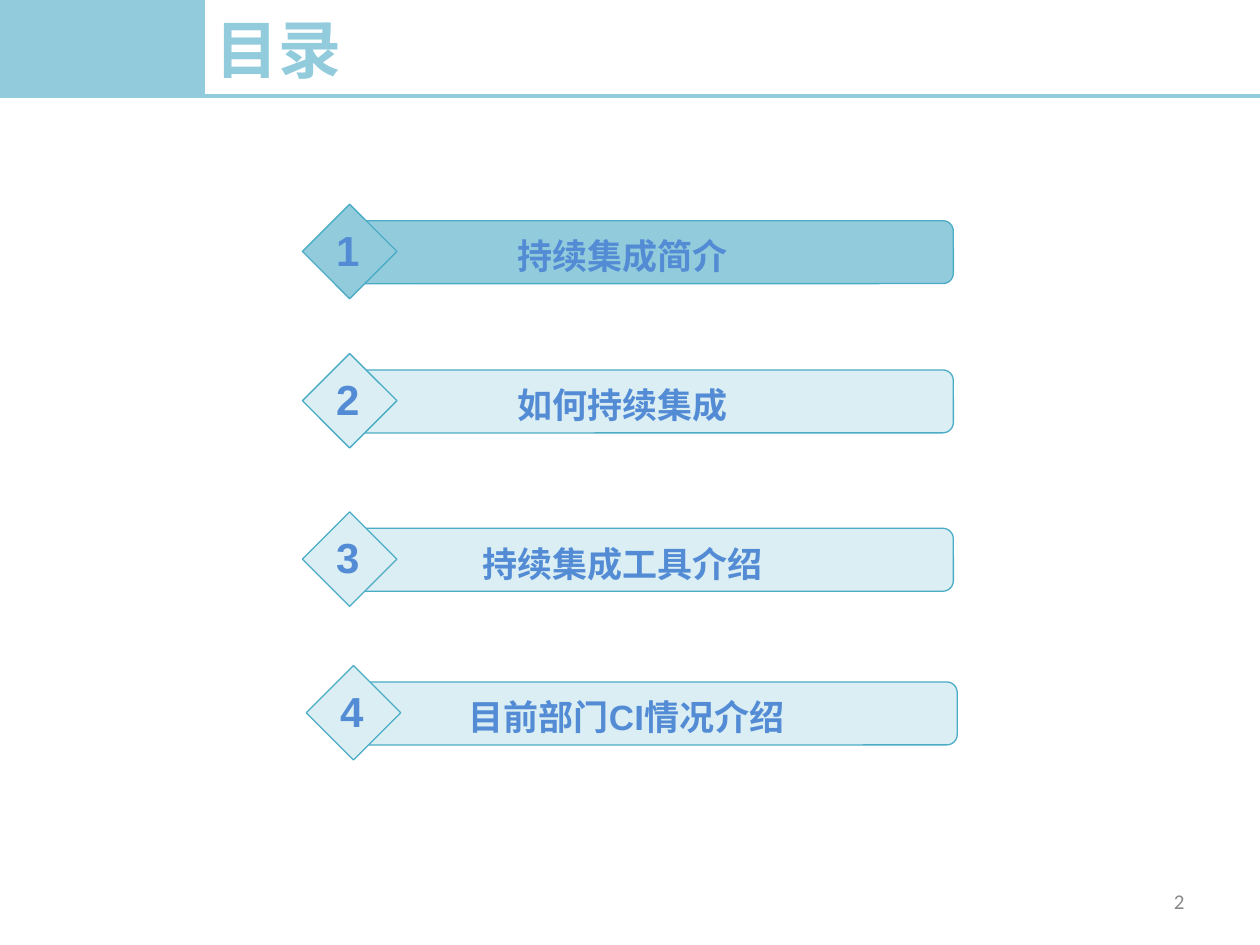
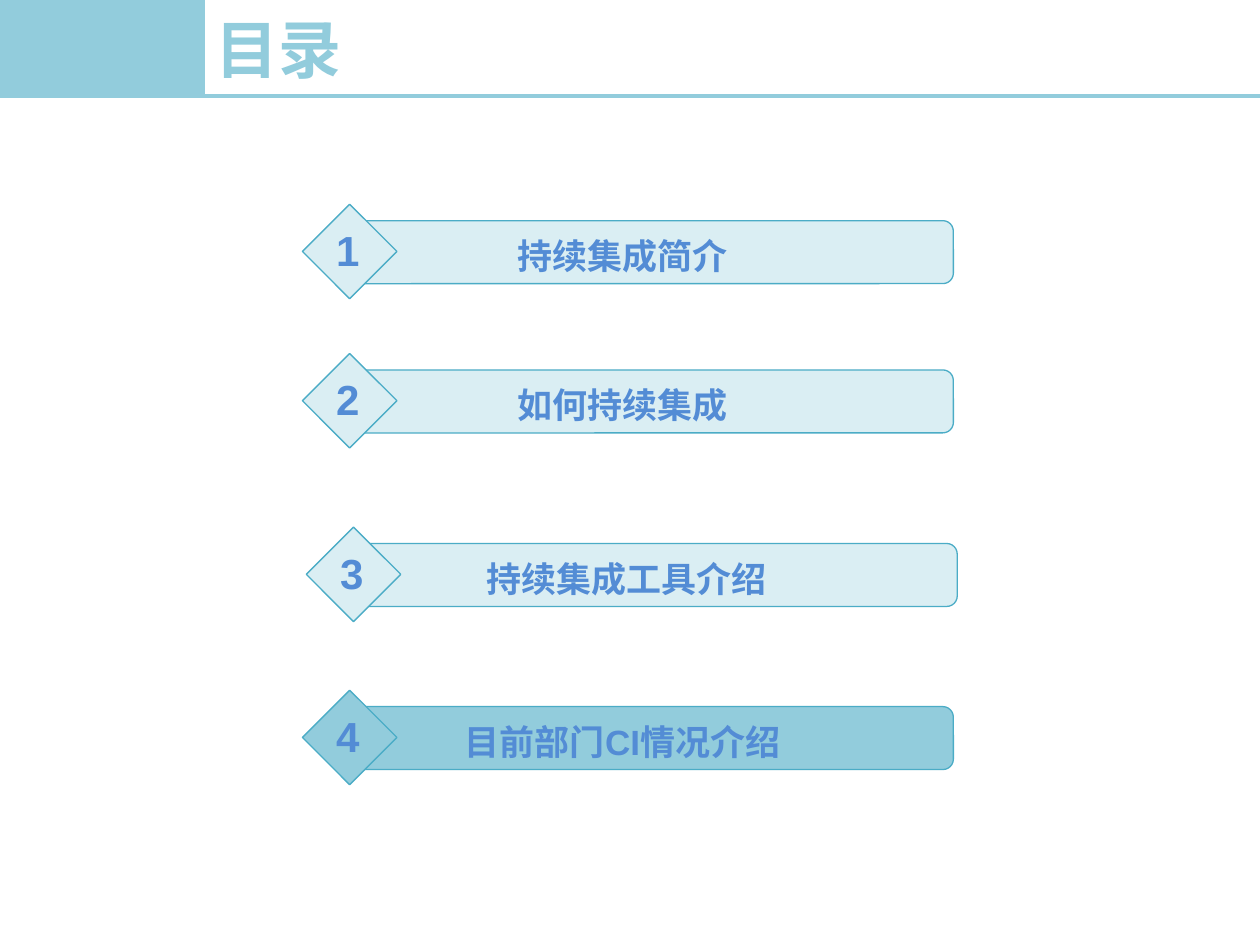
import dataclasses

import lxml.etree
import pptx
import pptx.dml.color
import pptx.enum.shapes
import pptx.enum.text
import pptx.oxml.ns
import pptx.util

Pt = pptx.util.Pt
SHAPES = pptx.enum.shapes.MSO_SHAPE
ALIGN = pptx.enum.text.PP_ALIGN
ANCHOR = pptx.enum.text.MSO_ANCHOR


@dataclasses.dataclass(frozen=True)
class Theme:
    accent: str = "92CCDC"
    pale: str = "DAEEF3"
    outline: str = "4BACC6"
    entry_text: str = "538CD5"
    page_text: str = "898989"
    chinese_font: str = "Noto Sans CJK SC"
    latin_font: str = "Arial"
    page_font: str = "Calibri"
    title_size: float = 36
    number_size: float = 24
    label_size: float = 20
    page_size: float = 12


THEME = Theme()
SLIDE_WIDTH, SLIDE_HEIGHT = 720, 540
HEADER_HEIGHT, HEADER_BLOCK_WIDTH = 54.72, 115.92
ENTRY_LEFT, SHIFTED_LEFT = 172.8, 175
ENTRIES = ("持续集成简介", "如何持续集成", "持续集成工具介绍", "目前部门CI情况介绍")
AGENDAS = (
    {
        "places": ((ENTRY_LEFT, 116.7), (ENTRY_LEFT, 202.0),
                   (ENTRY_LEFT, 292.5), (SHIFTED_LEFT, 380.3)),
        "current": 1,
        "page": "2",
    },
    {
        "places": ((ENTRY_LEFT, 116.7), (ENTRY_LEFT, 202.0),
                   (SHIFTED_LEFT, 301.2), (ENTRY_LEFT, 394.4)),
        "current": 4,
        "page": None,
    },
)


def rgb(value):
    return pptx.dml.color.RGBColor.from_string(value)


def box(left, top, width, height):
    return Pt(left), Pt(top), Pt(width), Pt(height)


def write(holder, text, size, color, latin, bold=True,
          align=ALIGN.CENTER, anchor=ANCHOR.TOP):
    frame = holder.text_frame
    frame.text = text
    frame.word_wrap = True
    frame.auto_size = pptx.enum.text.MSO_AUTO_SIZE.NONE
    frame.vertical_anchor = anchor
    paragraph = frame.paragraphs[0]
    paragraph.alignment = align
    run = paragraph.runs[0]
    run.font.name = latin
    run.font.size = Pt(size)
    run.font.bold = bold
    run.font.color.rgb = rgb(color)
    east_asian = lxml.etree.SubElement(
        run.font._element, pptx.oxml.ns.qn("a:ea"))
    east_asian.set("typeface", THEME.chinese_font)


def add_filled(shapes, kind, place, fill, outline, weight):
    filled = shapes.add_shape(kind, *place)
    filled.shadow.inherit = False
    filled.fill.solid()
    filled.fill.fore_color.rgb = rgb(fill)
    filled.line.color.rgb = rgb(outline)
    filled.line.width = Pt(weight)
    return filled


def add_header(slide, text):
    add_filled(slide.shapes, SHAPES.RECTANGLE,
               box(0, 0, HEADER_BLOCK_WIDTH, HEADER_HEIGHT),
               THEME.accent, THEME.accent, 2)
    rule = slide.shapes.add_connector(
        pptx.enum.shapes.MSO_CONNECTOR.STRAIGHT,
        Pt(0), Pt(HEADER_HEIGHT), Pt(SLIDE_WIDTH), Pt(HEADER_HEIGHT))
    rule.line.color.rgb = rgb(THEME.accent)
    rule.line.width = Pt(2.25)
    lxml.etree.SubElement(rule._element.spPr, pptx.oxml.ns.qn("a:effectLst"))

    title = slide.shapes.title
    title.left, title.top, title.width, title.height = box(
        HEADER_BLOCK_WIDTH, 0, SLIDE_WIDTH - HEADER_BLOCK_WIDTH, HEADER_HEIGHT)
    write(title, text, THEME.title_size, THEME.accent, THEME.chinese_font,
          align=ALIGN.LEFT, anchor=ANCHOR.MIDDLE)


def add_entry(slide, number, label, place, is_current):
    left, top = place
    fill = THEME.accent if is_current else THEME.pale
    entry = slide.shapes.add_group_shape().shapes

    bar = add_filled(entry, SHAPES.ROUNDED_RECTANGLE,
                     box(left + 30, top + 9.4, 342, 36),
                     fill, THEME.outline, 0.75)
    bar.adjustments[0] = 0.167
    add_filled(entry, SHAPES.DIAMOND, box(left, top, 54, 54),
               fill, THEME.outline, 0.75)

    caption = entry.add_textbox(*box(left + 48, top + 13.8, 270, 31.5))
    write(caption, label, THEME.label_size, THEME.entry_text, THEME.latin_font)
    numeral = entry.add_textbox(*box(left - 59.7, top + 7.9, 171.4, 36))
    write(numeral, str(number), THEME.number_size, THEME.entry_text,
          THEME.latin_font)


def add_page_number(slide, page):
    page_number = slide.shapes.add_textbox(*box(516, 500.5, 168, 28.75))
    write(page_number, page, THEME.page_size, THEME.page_text,
          THEME.page_font, bold=False, align=ALIGN.RIGHT, anchor=ANCHOR.MIDDLE)


def add_agenda(deck, places, current, page):
    slide = deck.slides.add_slide(deck.slide_layouts[5])
    add_header(slide, "目录")
    for number, (label, place) in enumerate(zip(ENTRIES, places), start=1):
        add_entry(slide, number, label, place, number == current)
    if page:
        add_page_number(slide, page)


def main():
    deck = pptx.Presentation()
    deck.slide_width, deck.slide_height = Pt(SLIDE_WIDTH), Pt(SLIDE_HEIGHT)
    for agenda in AGENDAS:
        add_agenda(deck, **agenda)
    deck.save("out.pptx")


if __name__ == "__main__":
    main()
